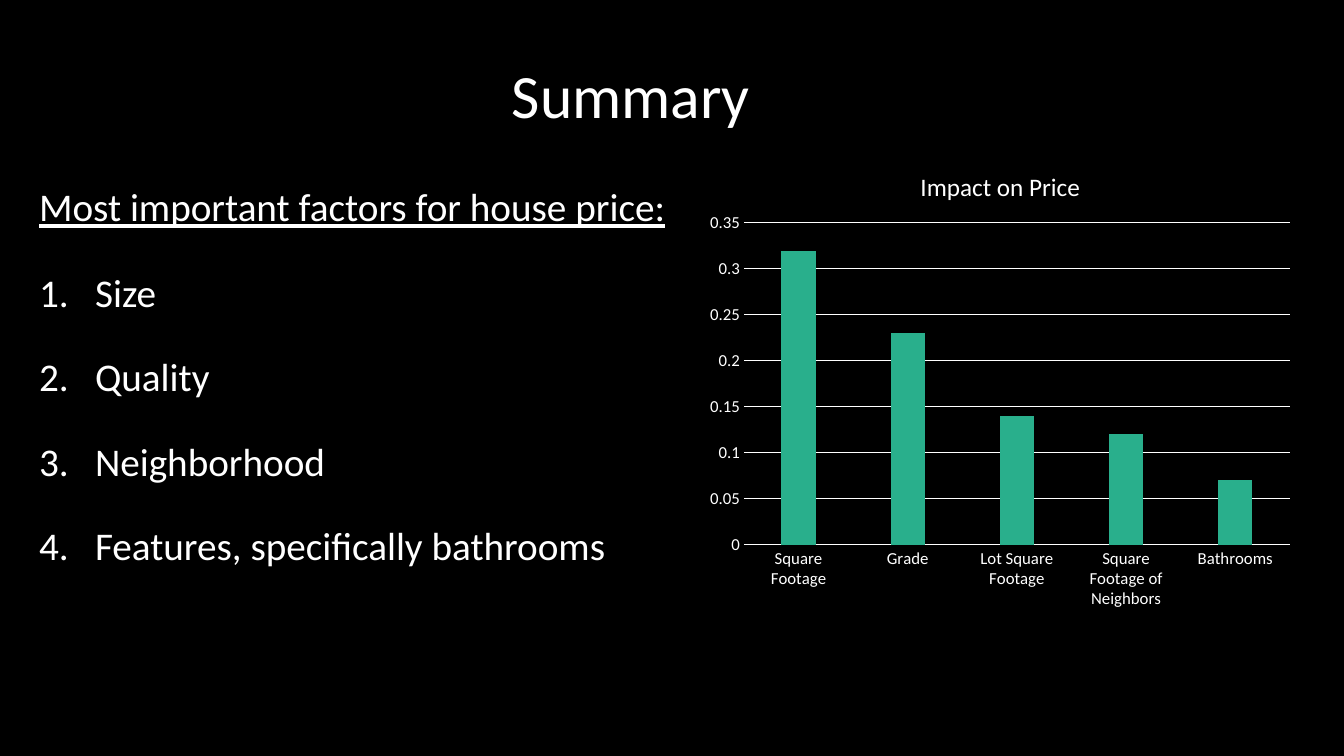
import pptx
import pptx.chart.data
import pptx.dml.color
import pptx.enum.chart
import pptx.enum.text
import pptx.oxml.ns
import pptx.util
from lxml import etree

PX = 12700 * 72 / 100.8  # EMU in one px
FONT = "Calibri"
WHITE = "FFFFFF"
CHART_BOX = (698, 141, 605, 478)
qn = pptx.oxml.ns.qn


def paint(target, color):
    """Give a fill or a line a solid colour."""
    fill = getattr(target, "fill", target)
    fill.solid()
    fill.fore_color.rgb = pptx.dml.color.RGBColor.from_string(color)


def place_in_chart(parent, index, **values):
    """Give a chart part a fixed place, as shares of the chart."""
    for old in parent.findall(qn("c:layout")):
        parent.remove(old)
    layout = etree.Element(qn("c:layout"))
    manual = etree.SubElement(layout, qn("c:manualLayout"))
    for tag, value in values.items():
        etree.SubElement(manual, qn("c:" + tag)).set("val", str(value))
    parent.insert(index, layout)


# Page
deck = pptx.Presentation()
deck.slide_width, deck.slide_height = round(1344 * PX), round(756 * PX)
page = deck.slides.add_slide(deck.slide_layouts[1])
paint(page.background.fill, "000000")

# Title and numbered list
title, body = page.placeholders
factors = ["Size", "Quality", "Neighborhood", "Features, specifically bathrooms"]
texts = [
    (title, (76, 26, 1110, 146), 44, ["Summary"]),
    (body, (29, 183, 1102, 525), 28, ["Most important factors for house price:"] + factors),
]
for box, area, size, lines in texts:
    box.left, box.top, box.width, box.height = [round(n * PX) for n in area]
    frame = box.text_frame
    frame.word_wrap = True
    frame.auto_size = pptx.enum.text.MSO_AUTO_SIZE.NONE
    for number, line in enumerate(lines):
        para = frame.paragraphs[0] if number == 0 else frame.add_paragraph()
        para.line_spacing = 1.5 if number else 0.9
        span = para.add_run()
        span.text = line
        span.font.size = pptx.util.Pt(size)
        span.font.name = FONT
        paint(span.font, WHITE)
        if box is title:
            para.alignment = pptx.enum.text.PP_ALIGN.CENTER
            continue
        para.space_before = pptx.util.Pt(10)
        span.font.underline = number == 0
        indent = round(56 * PX) if number else 0
        props = para._p.get_or_add_pPr()
        props.set("marL", str(indent))
        props.set("indent", str(-indent))
        if number:
            etree.SubElement(props, qn("a:buFont")).set("typeface", "+mj-lt")
            etree.SubElement(props, qn("a:buAutoNum")).set("type", "arabicPeriod")
        else:
            etree.SubElement(props, qn("a:buNone"))
title.text_frame.vertical_anchor = pptx.enum.text.MSO_ANCHOR.MIDDLE
body.text_frame.vertical_anchor = pptx.enum.text.MSO_ANCHOR.TOP

# Column chart
data = pptx.chart.data.CategoryChartData()
data.categories = ["Square Footage", "Grade", "Lot Square Footage",
                   "Square Footage of Neighbors", "Bathrooms"]
data.add_series("Series 1", [0.32, 0.23, 0.14, 0.12, 0.07])
chart = page.shapes.add_chart(
    pptx.enum.chart.XL_CHART_TYPE.COLUMN_CLUSTERED,
    *[round(n * PX) for n in CHART_BOX], data).chart
chart.has_legend = False
chart.font.name = FONT
chart.font.size = pptx.util.Pt(10)
paint(chart.font, WHITE)
plot = chart.plots[0]
plot.gap_width, plot.overlap, plot.vary_by_categories = 219, -27, False
paint(plot.series[0].format, "29AF8C")

# Chart title
span = chart.chart_title.text_frame.paragraphs[0].add_run()
span.text = "Impact on Price"
span.font.size = pptx.util.Pt(18)
span.font.bold = False
span.font.name = FONT
paint(span.font, WHITE)

# Axes
values = chart.value_axis
values.minimum_scale, values.maximum_scale, values.major_unit = 0, 0.35, 0.05
values.tick_labels.number_format = "General"
values.tick_labels.number_format_is_linked = False
values.format.line.fill.background()
for axis in (chart.category_axis, values):
    axis.major_tick_mark = pptx.enum.chart.XL_TICK_MARK.NONE
    axis.tick_labels.font.size = pptx.util.Pt(12)
    axis.tick_labels.font.name = FONT
    paint(axis.tick_labels.font, WHITE)
for line in (chart.category_axis.format.line, values.major_gridlines.format.line):
    paint(line, WHITE)
    line.width = pptx.util.Pt(0.75)

# Places of the chart title and the plot
width, height = CHART_BOX[2:]
place_in_chart(chart.element.find(".//" + qn("c:title")), 1,
               xMode="edge", yMode="edge", x=218 / width, y=24 / height)
place_in_chart(chart.element.find(".//" + qn("c:plotArea")), 0,
               layoutTarget="inner", xMode="edge", yMode="edge",
               x=46 / width, y=82 / height, w=546 / width, h=322 / height)

deck.save("out.pptx")
